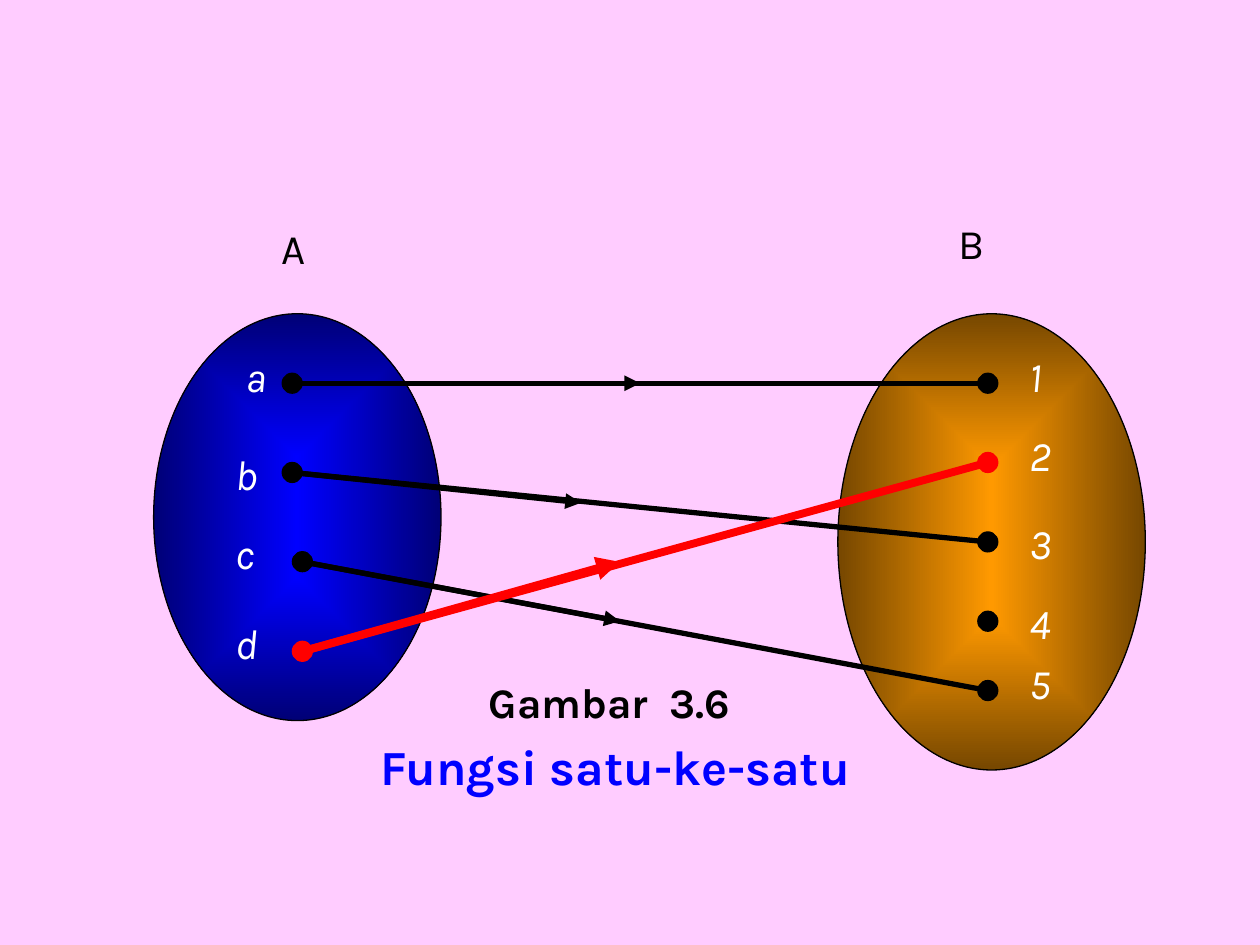
from lxml import etree
from pptx import Presentation
from pptx.dml.color import RGBColor
from pptx.enum.shapes import MSO_CONNECTOR, MSO_SHAPE
from pptx.enum.text import MSO_AUTO_SIZE
from pptx.oxml.ns import qn
from pptx.util import Pt

OVAL = MSO_SHAPE.OVAL
STRAIGHT = MSO_CONNECTOR.STRAIGHT
FIT = MSO_AUTO_SIZE.SHAPE_TO_FIT_TEXT

BLACK = RGBColor(0x00, 0x00, 0x00)
WHITE = RGBColor(0xFF, 0xFF, 0xFF)
RED = RGBColor(0xFF, 0x00, 0x00)
BLUE = RGBColor(0x00, 0x00, 0xFF)
NAVY = RGBColor(0x00, 0x00, 0x76)
ORANGE = RGBColor(0xFF, 0x99, 0x00)
BROWN = RGBColor(0x76, 0x47, 0x00)
PINK = RGBColor(0xFF, 0xCC, 0xFF)

DOT = 11.4
B_X, B_LABEL_X = 564.5, 581
# element: (dot x, dot y, label left, label top, label width, colour)
DOMAIN = {
    "a": (167, 219, 133.2, 196.6, 28, BLACK),
    "b": (167, 270, 127.4, 252.7, 28, BLACK),
    "c": (172.8, 321, 127.4, 298, 25.2, BLACK),
    "d": (172.8, 372.2, 127.4, 349.2, 28, RED),
}
# element: (dot y, label top, colour)
CODOMAIN = {
    "1": (219, 196.6, BLACK),
    "2": (264.3, 241.9, RED),
    "3": (309.7, 292.3, BLACK),
    "4": (355, 337.7, BLACK),
    "5": (394.6, 372.2, BLACK),
}
# from, to, tip of the arrow along the way, line width
MAPPING = [
    ("a", "1", (365.8, 219), 3),
    ("b", "3", (332, 287.3), 3),
    ("c", "5", (354.2, 355), 3),
    ("d", "2", (354.2, 321.1), 4.5),
]


class Diagram:
    def __init__(self, slide, font="Karla"):
        self.slide = slide
        self.font = font

    def oval(self, left, top, width, height, line=BLACK):
        sp = self.slide.shapes.add_shape(OVAL, Pt(left), Pt(top), Pt(width), Pt(height))
        sp.shadow.inherit = False
        sp.line.color.rgb = line
        sp.line.width = Pt(0.75)
        return sp

    def set_oval(self, left, top, width, height, inner, outer):
        """Draw a set with a gradient running from its centre to its edges."""
        sp = self.oval(left, top, width, height)
        sp.fill.gradient()
        for stop, color in zip(sp.fill.gradient_stops, (inner, outer)):
            stop.color.rgb = color
        lin = sp._element.spPr.find(qn("a:gradFill")).find(qn("a:lin"))
        shade = etree.Element(qn("a:path"), {"path": "rect"})
        etree.SubElement(shade, qn("a:fillToRect"), dict.fromkeys("ltrb", "50000"))
        lin.getparent().replace(lin, shade)

    def dot(self, x, y, color):
        sp = self.oval(x - DOT / 2, y - DOT / 2, DOT, DOT, line=color)
        sp.fill.solid()
        sp.fill.fore_color.rgb = color

    def line(self, start, end, color, width, arrow=False):
        points = [Pt(v) for v in (*start, *end)]
        cn = self.slide.shapes.add_connector(STRAIGHT, *points)
        cn.line.color.rgb = color
        cn.line.width = Pt(width)
        if arrow:
            etree.SubElement(cn.line._get_or_add_ln(), qn("a:tailEnd"), type="triangle")
        etree.SubElement(cn._element.spPr, qn("a:effectLst"))

    def text(self, text, left, top, width, height=36, *, size=24, color=BLACK,
             bold=False, italic=False):
        box = self.slide.shapes.add_textbox(Pt(left), Pt(top), Pt(width), Pt(height))
        tf = box.text_frame
        tf.word_wrap = False
        tf.auto_size = FIT
        r = tf.paragraphs[0].add_run()
        r.text = text
        r.font.name = self.font
        r.font.size = Pt(size)
        r.font.color.rgb = color
        r.font.bold = bold
        r.font.italic = italic


def main():
    prs = Presentation()
    prs.slide_width, prs.slide_height = Pt(720), Pt(540)
    slide = prs.slides.add_slide(prs.slide_layouts[6])
    slide.background.fill.solid()
    slide.background.fill.fore_color.rgb = PINK
    d = Diagram(slide)

    d.set_oval(87.8, 179.3, 164.2, 232.5, BLUE, NAVY)
    d.set_oval(478.8, 179.3, 175.7, 260.7, ORANGE, BROWN)
    d.text("A", 154, 123.8, 29.5)
    d.text("B", 540.7, 121, 29.5)

    for x, y, _, _, _, color in DOMAIN.values():
        d.dot(x, y, color)
    for y, _, color in CODOMAIN.values():
        d.dot(B_X, y, color)

    for source, target, tip, width in MAPPING:
        start, color = DOMAIN[source][:2], DOMAIN[source][-1]
        d.line(start, (B_X, CODOMAIN[target][0]), color, width)
        d.line(start, tip, color, width, arrow=True)

    for name, (_, _, left, top, width, _) in DOMAIN.items():
        d.text(name, left, top, width, color=WHITE, italic=True)
    for name, (_, top, _) in CODOMAIN.items():
        d.text(name, B_LABEL_X, top, 27.4, color=WHITE, italic=True)

    d.text("Gambar  3.6", 272.2, 383, 163.4, bold=True)
    d.text("Fungsi satu-ke-satu", 210.2, 417.6, 288, 41, size=28, color=BLUE, bold=True)
    prs.save("out.pptx")


if __name__ == "__main__":
    main()
